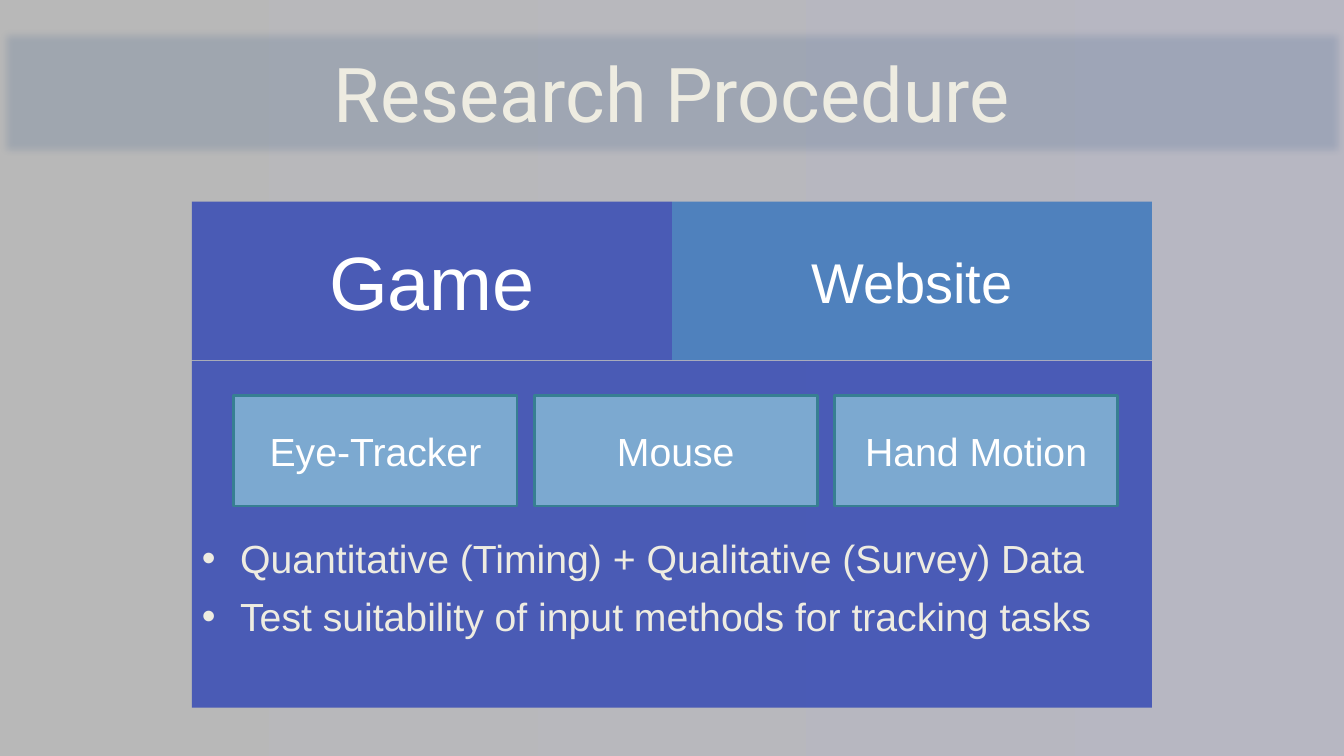
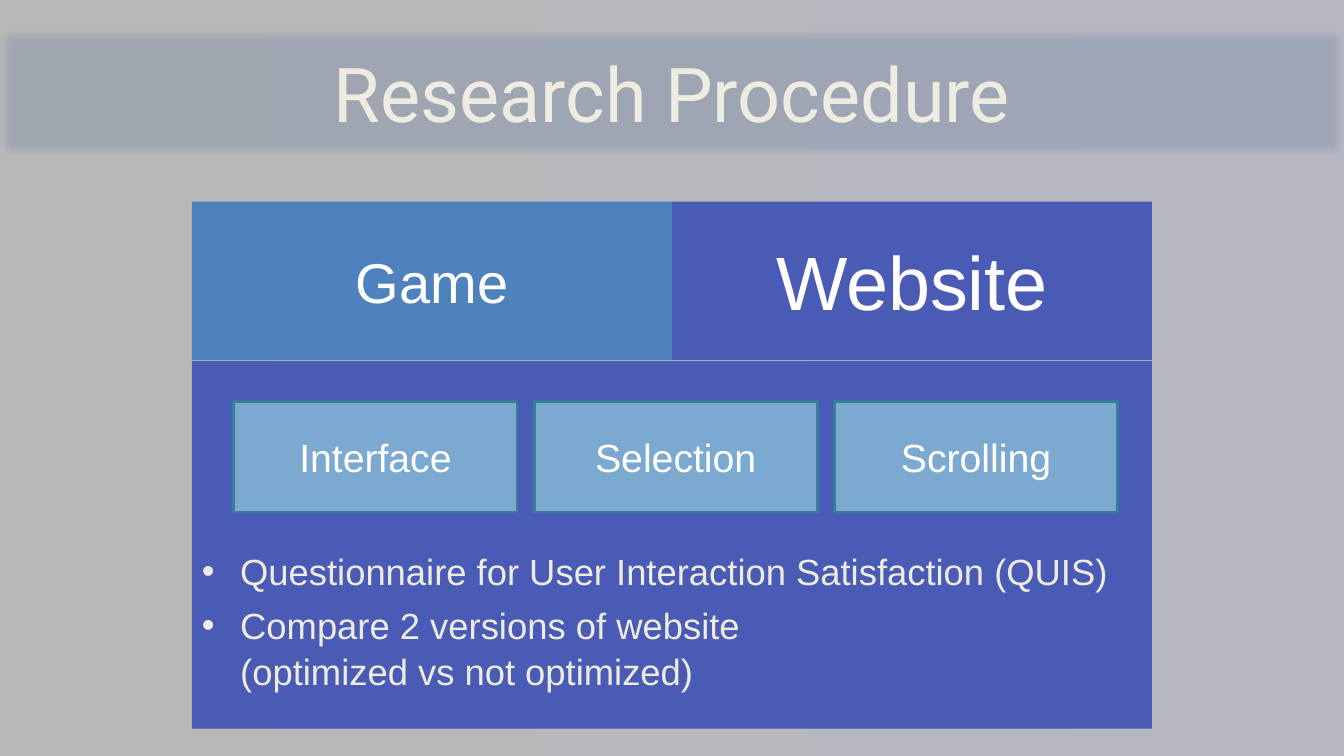
import pptx
import pptx.util
import pptx.dml.color
import pptx.enum.shapes
import pptx.enum.text
import pptx.oxml.ns
import pptx.oxml.xmlchemy

WIDTH = pptx.util.Inches(13.333)
HEIGHT = pptx.util.Inches(7.5)
COLUMN = WIDTH / 70
ROW = HEIGHT / 75

COLOURS = {
    "backdrop_left": "B8B8B8",
    "backdrop_right": "B7B7C2",
    "band": "1F497D",
    "cream": "EEECE1",
    "active": "3F51B5",
    "inactive": "4F81BD",
    "card": "93CDDD",
    "card_line": "377F92",
    "white": "FFFFFF",
}

PANEL_LEFT, PANEL_TOP, PANEL_COLUMNS = 10, 35.8, 50
TAB_TOP, TAB_ROWS = 20, 15.7
CARD_LEFT, CARD_COLUMNS, CARD_PITCH, CARD_ROWS = 12.18, 14.75, 15.64, 11
TABS = ("Game", "Website")

SLIDES = [
    {
        "active": "Game",
        "cards": ("Eye-Tracker", "Mouse", "Hand Motion"),
        "card_top": 39.2,
        "panel_rows": 34.4,
        "bullets": (
            "Quantitative (Timing) + Qualitative (Survey) Data",
            "Test suitability of input methods for tracking tasks",
        ),
        "bullet_size": 28,
        "bullet_rows": 17,
    },
    {
        "active": "Website",
        "cards": ("Interface", "Selection", "Scrolling"),
        "card_top": 39.8,
        "panel_rows": 36.5,
        "bullets": (
            "Questionnaire for User Interaction Satisfaction (QUIS)",
            "Compare 2 versions of website\n(optimized vs not optimized)",
        ),
        "bullet_size": 26,
        "bullet_rows": 18.5,
    },
]


def rgb(name):
    return pptx.dml.color.RGBColor.from_string(COLOURS[name])


def apply(target, values):
    for name, value in values.items():
        setattr(target, name, value)


def place(shape, left, top, columns, rows):
    apply(shape, {
        "left": int(left * COLUMN),
        "top": int(top * ROW),
        "width": int(columns * COLUMN),
        "height": int(rows * ROW),
    })


def add_element(parent, tag, **attributes):
    element = pptx.oxml.xmlchemy.OxmlElement(tag)
    for name, value in attributes.items():
        element.set(name, str(value))
    parent.append(element)
    return element


def fill_shape(shape, colour, opacity=100):
    shape.fill.solid()
    shape.fill.fore_color.rgb = rgb(colour)
    if opacity < 100:
        value = shape._element.spPr.find(".//" + pptx.oxml.ns.qn("a:srgbClr"))
        add_element(value, "a:alpha", val=opacity * 1000)


def write_paragraph(paragraph, text, size, colour="white", font="Arial",
                    alignment=pptx.enum.text.PP_ALIGN.CENTER):
    paragraph.text = text
    paragraph.alignment = alignment
    for run in paragraph.runs:
        apply(run.font, {"size": pptx.util.Pt(size), "name": font})
        run.font.color.rgb = rgb(colour)


def add_box(slide, area, colour, opacity=100):
    shape = slide.shapes.add_shape(
        pptx.enum.shapes.MSO_SHAPE.RECTANGLE, 0, 0, 0, 0)
    place(shape, *area)
    shape.shadow.inherit = False
    fill_shape(shape, colour, opacity)
    shape.line.fill.background()
    apply(shape.text_frame, {
        "word_wrap": True,
        "vertical_anchor": pptx.enum.text.MSO_ANCHOR.MIDDLE,
    })
    return shape


def set_backdrop(presentation):
    fill = presentation.slide_master.background.fill
    fill.gradient()
    fill.gradient_angle = 0
    for stop, colour in zip(fill.gradient_stops,
                            ("backdrop_left", "backdrop_right")):
        stop.color.rgb = rgb(colour)


def format_title(slide, text):
    title = slide.shapes.title
    place(title, 0, 2.9, 70, 12.5)
    fill_shape(title, "band", 16)
    effects = add_element(title._element.spPr, "a:effectLst")
    add_element(effects, "a:softEdge", rad=pptx.util.Pt(5))
    apply(title.text_frame, {
        "auto_size": pptx.enum.text.MSO_AUTO_SIZE.NONE,
        "vertical_anchor": pptx.enum.text.MSO_ANCHOR.MIDDLE,
    })
    write_paragraph(title.text_frame.paragraphs[0], text, 54,
                    "cream", "Roboto")


def add_panel(slide, content):
    panel = add_box(slide, (PANEL_LEFT, PANEL_TOP, PANEL_COLUMNS,
                            content["panel_rows"]), "active", 90)
    frame = panel.text_frame
    apply(frame, {
        "vertical_anchor": pptx.enum.text.MSO_ANCHOR.TOP,
        "margin_top": int(content["bullet_rows"] * ROW),
    })
    size = content["bullet_size"]
    indent = pptx.util.Inches(0.38)
    for index, text in enumerate(content["bullets"]):
        paragraph = frame.add_paragraph() if index else frame.paragraphs[0]
        properties = paragraph._p.get_or_add_pPr()
        properties.set("marL", str(indent))
        properties.set("indent", str(-indent))
        add_element(properties, "a:buFont", typeface="Arial")
        add_element(properties, "a:buChar", char="•")
        write_paragraph(paragraph, text, size, "cream",
                        alignment=pptx.enum.text.PP_ALIGN.LEFT)
        paragraph.line_spacing = 1.05
        if index:
            paragraph.space_before = pptx.util.Pt(0.22 * size)


def add_tabs(slide, active):
    columns = PANEL_COLUMNS / len(TABS)
    for index, text in enumerate(TABS):
        area = (PANEL_LEFT + index * columns, TAB_TOP, columns, TAB_ROWS)
        style = ("active", 90) if text == active else ("inactive", 100)
        tab = add_box(slide, area, *style)
        write_paragraph(tab.text_frame.paragraphs[0], text,
                        54 if text == active else 40)


def add_cards(slide, labels, top):
    for index, text in enumerate(labels):
        card = add_box(slide, (CARD_LEFT + index * CARD_PITCH, top,
                               CARD_COLUMNS, CARD_ROWS), "card", 69)
        card.line.color.rgb = rgb("card_line")
        card.line.width = pptx.util.Pt(2)
        write_paragraph(card.text_frame.paragraphs[0], text, 28)


def main():
    presentation = pptx.Presentation()
    apply(presentation, {"slide_width": WIDTH, "slide_height": HEIGHT})
    set_backdrop(presentation)
    for content in SLIDES:
        slide = presentation.slides.add_slide(presentation.slide_layouts[5])
        format_title(slide, "Research Procedure")
        add_panel(slide, content)
        add_cards(slide, content["cards"], content["card_top"])
        add_tabs(slide, content["active"])
    presentation.save("out.pptx")


if __name__ == "__main__":
    main()
